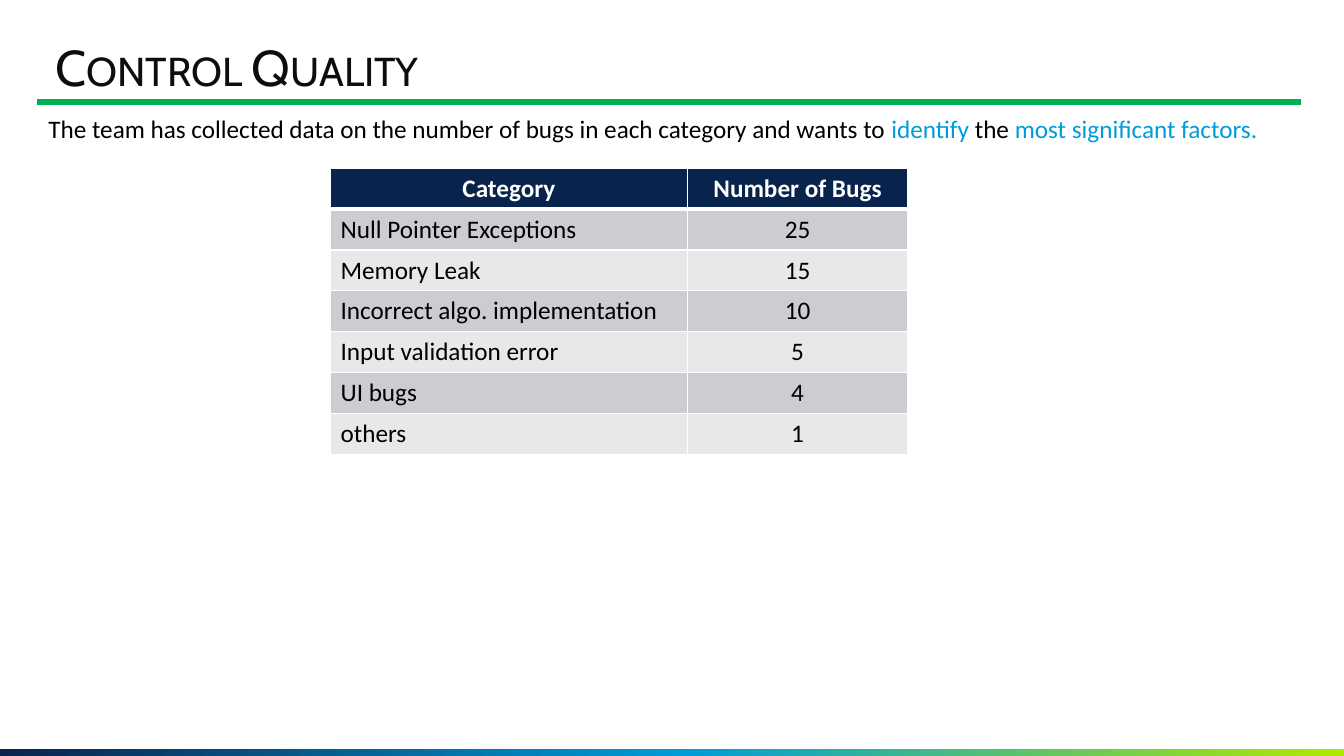
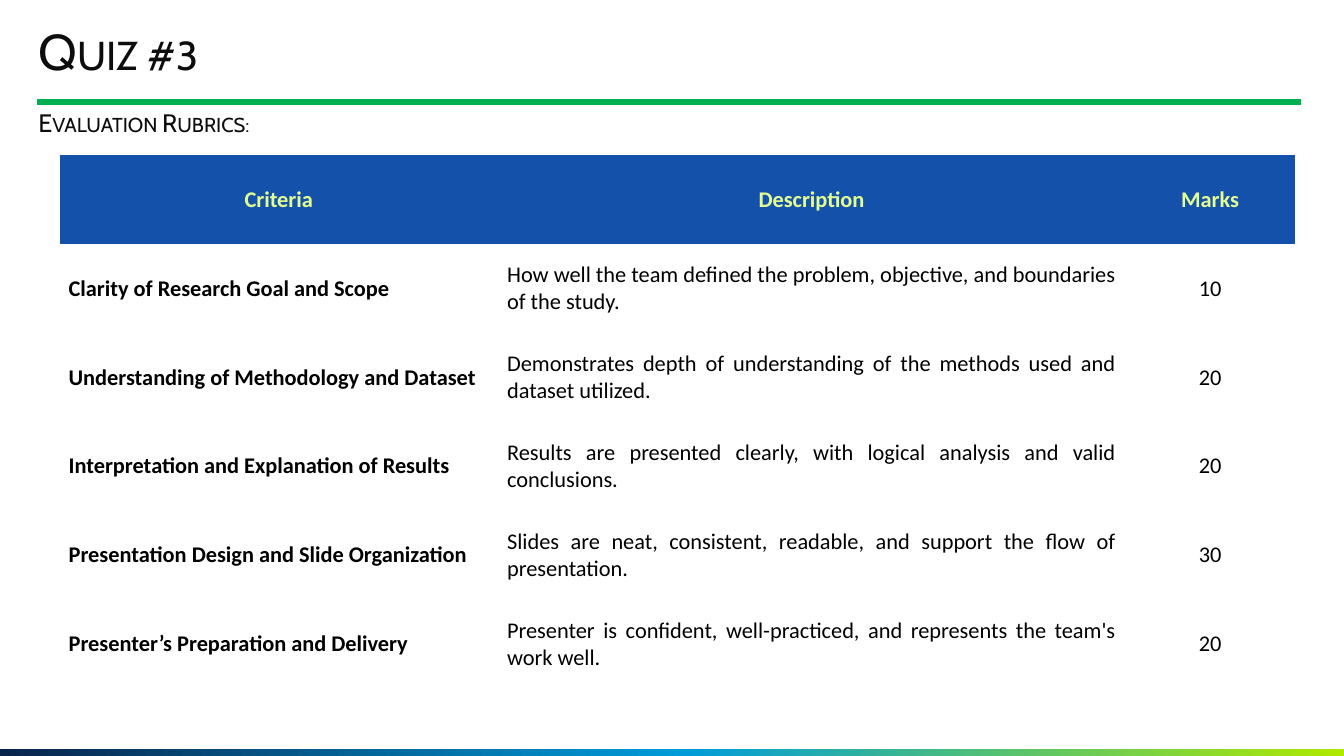
import pptx
import pptx.dml.color
import pptx.enum.shapes
import pptx.enum.text
import pptx.oxml
import pptx.oxml.ns
import pptx.util
from dataclasses import dataclass
from lxml import etree

Cm = pptx.util.Cm
Pt = pptx.util.Pt
RGB = pptx.dml.color.RGBColor.from_string
ALIGN = pptx.enum.text.PP_ALIGN
ANCHOR = pptx.enum.text.MSO_ANCHOR
qn = pptx.oxml.ns.qn


@dataclass(frozen=True)
class Theme:
    heading_font: str = "Cabin"
    body_font: str = "Calibri"
    heading: str = "0D0D0D"
    text: str = "000000"
    white: str = "FFFFFF"
    navy: str = "09244C"
    sky: str = "009CDA"
    lime: str = "B0E900"
    rule: str = "00B050"
    row_dark: str = "CCCDD0"
    row_light: str = "E7E8E9"
    rubric_header: str = "1451AB"
    rubric_label: str = "E4FF90"
    title_size: int = 36
    body_size: int = 18
    rubric_size: int = 16


theme = Theme()


def add_span(para, text, size, color, bold=False, heading=False):
    """Add one formatted run; headings use small capitals."""
    span = para.add_run()
    span.text = text
    span.font.name = theme.heading_font if heading else theme.body_font
    span.font.size = Pt(size)
    span.font.bold = bold
    span.font.color.rgb = RGB(color)
    if heading:
        para.line_spacing = 0.9
        para.alignment = ALIGN.LEFT
        span.font._element.set("cap", "small")


def add_plain_table(page, left, top, widths, row_height, row_count):
    """Add a table without style, grid or banding."""
    frame = page.shapes.add_table(row_count, len(widths), Cm(left), Cm(top),
                                  Cm(sum(widths)), Cm(row_height * row_count))
    properties = frame.table._tbl.tblPr
    properties.find(qn("a:tableStyleId")).text = "{2D5ABB26-0587-4C30-8999-92F81FD0307C}"
    frame.table.horz_banding = False
    for column, width in zip(frame.table.columns, widths):
        column.width = Cm(width)
    for row in frame.table.rows:
        row.height = Cm(row_height)
    return frame.table


deck = pptx.Presentation()
deck.slide_width, deck.slide_height = Cm(33.87), Cm(19.05)
layout = deck.slide_layouts[5]

# Pages with their titles
pages = []
for title, left, top in [("Control Quality", 1.4, 1.09), ("Quiz #3", 0.97, 0.69)]:
    page = deck.slides.add_slide(layout)
    box = page.shapes.title
    box.left, box.top, box.width, box.height = Cm(left), Cm(top), Cm(28.42), Cm(1.4)
    frame = box.text_frame
    frame.margin_left = frame.margin_right = frame.margin_top = frame.margin_bottom = 0
    frame.vertical_anchor = ANCHOR.TOP
    frame.auto_size = pptx.enum.text.MSO_AUTO_SIZE.NONE
    add_span(frame.paragraphs[0], title, theme.title_size, theme.heading, heading=True)
    pages.append(page)
quality_page, quiz_page = pages

# Shared footer band and title rule, moved to the layout
band = quality_page.shapes.add_shape(pptx.enum.shapes.MSO_SHAPE.RECTANGLE,
                                     0, Cm(18.87), deck.slide_width, Cm(0.18))
band.shadow.inherit = False
band.line.fill.background()
band.fill.gradient()
band.fill.gradient_angle = 0
stops = band._element.spPr.find(".//" + qn("a:gsLst"))
for stop in list(stops):
    stops.remove(stop)
for percent, color in [(0, theme.navy), (51, theme.sky), (100, theme.lime)]:
    stop = etree.SubElement(stops, qn("a:gs"), pos=str(percent * 1000))
    etree.SubElement(stop, qn("a:srgbClr"), val=color)

rule = quality_page.shapes.add_connector(pptx.enum.shapes.MSO_CONNECTOR.STRAIGHT,
                                         Cm(0.94), Cm(2.57), Cm(32.79), Cm(2.57))
rule.line.color.rgb = RGB(theme.rule)
rule.line.width = Pt(4.5)
etree.SubElement(rule._element.spPr, qn("a:effectLst"))
for shape in (band, rule):
    layout.shapes.element.append(shape._element)

# Control Quality: introduction
box = quality_page.shapes.add_textbox(Cm(0.97), Cm(2.72), Cm(31.45), Cm(1.02))
box.text_frame.word_wrap = True
para = box.text_frame.paragraphs[0]
for text, color in [
    ("The team has collected data on the number of bugs in each category and wants to ", theme.text),
    ("identify", theme.sky),
    (" the ", theme.text),
    ("most significant factors.", theme.sky),
]:
    add_span(para, text, theme.body_size, color)

# Control Quality: bug counts
bugs = [
    ("Category", "Number of Bugs"),
    ("Null Pointer Exceptions", "25"),
    ("Memory Leak", "15"),
    ("Incorrect algo. implementation", "10"),
    ("Input validation error", "5"),
    ("UI bugs", "4"),
    ("others", "1"),
]
table = add_plain_table(quality_page, 8.33, 4.24, [8.99, 5.56], 1.03, len(bugs))
for r, values in enumerate(bugs):
    header = r == 0
    fill = theme.navy if header else theme.row_dark if r % 2 else theme.row_light
    for c, text in enumerate(values):
        cell = table.cell(r, c)
        for side in "LRTB":
            thick = (header and side == "B") or (r == 1 and side == "T")
            edge = etree.SubElement(cell._tc.get_or_add_tcPr(), qn("a:ln" + side),
                                    w=str(Pt(3 if thick else 1)))
            paint = etree.SubElement(edge, qn("a:solidFill"))
            etree.SubElement(paint, qn("a:srgbClr"), val=theme.white)
        cell.fill.solid()
        cell.fill.fore_color.rgb = RGB(fill)
        para = cell.text_frame.paragraphs[0]
        para.alignment = ALIGN.CENTER if header or c == 1 else ALIGN.LEFT
        add_span(para, text, theme.body_size, theme.white if header else theme.text, bold=header)

# Quiz: subtitle
box = quiz_page.shapes.add_textbox(Cm(0.97), Cm(2.79), Cm(28.42), Cm(0.69))
frame = box.text_frame
frame.word_wrap = True
frame.margin_left = frame.margin_right = frame.margin_top = frame.margin_bottom = 0
add_span(frame.paragraphs[0], "Evaluation Rubrics:", theme.body_size, theme.heading, heading=True)

# Quiz: evaluation rubric
rubric = [
    ("Criteria", "Description", "Marks"),
    ("Clarity of Research Goal and Scope",
     "How well the team defined the problem, objective, and boundaries of the study.", "10"),
    ("Understanding of Methodology and Dataset",
     "Demonstrates depth of understanding of the methods used and dataset utilized.", "20"),
    ("Interpretation and Explanation of Results",
     "Results are presented clearly, with logical analysis and valid conclusions.", "20"),
    ("Presentation Design and Slide Organization",
     "Slides are neat, consistent, readable, and support the flow of presentation.", "30"),
    ("Presenter’s Preparation and Delivery",
     "Presenter is confident, well-practiced, and represents the team's work well.", "20"),
]
table = add_plain_table(quiz_page, 1.5, 3.91, [11.05, 15.8, 4.29], 2.24, len(rubric))
for r, values in enumerate(rubric):
    header = r == 0
    for c, text in enumerate(values):
        cell = table.cell(r, c)
        cell.vertical_anchor = ANCHOR.MIDDLE
        cell.margin_left = cell.margin_right = Cm(0.23)
        cell.margin_top = cell.margin_bottom = Cm(0.1)
        if header:
            cell.fill.solid()
            cell.fill.fore_color.rgb = RGB(theme.rubric_header)
        else:
            cell.fill.background()
        para = cell.text_frame.paragraphs[0]
        para.alignment = ALIGN.CENTER if header or c == 2 else ALIGN.JUSTIFY
        add_span(para, text, theme.rubric_size, theme.rubric_label if header else theme.text,
                 bold=header or c == 0)

deck.save("out.pptx")
